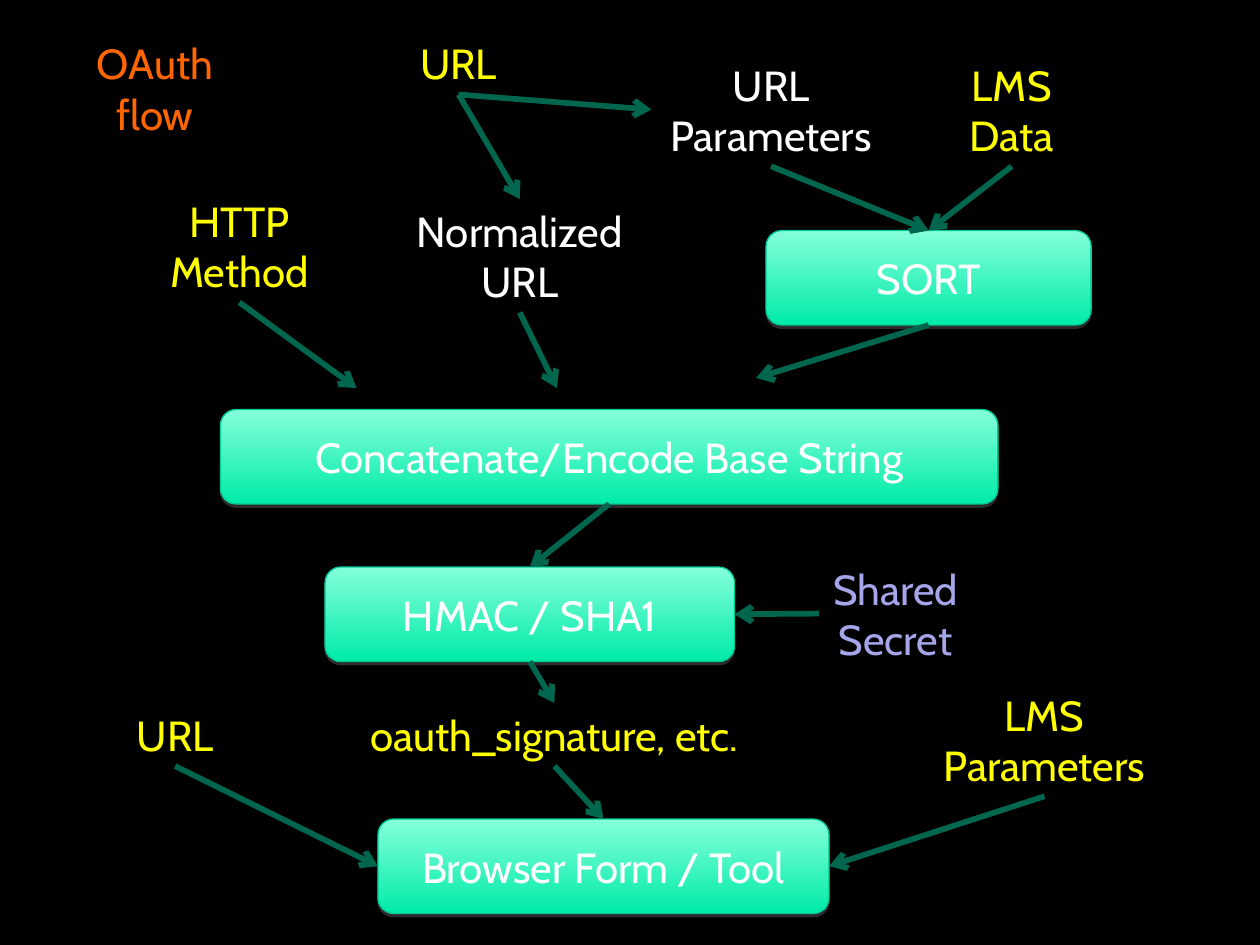
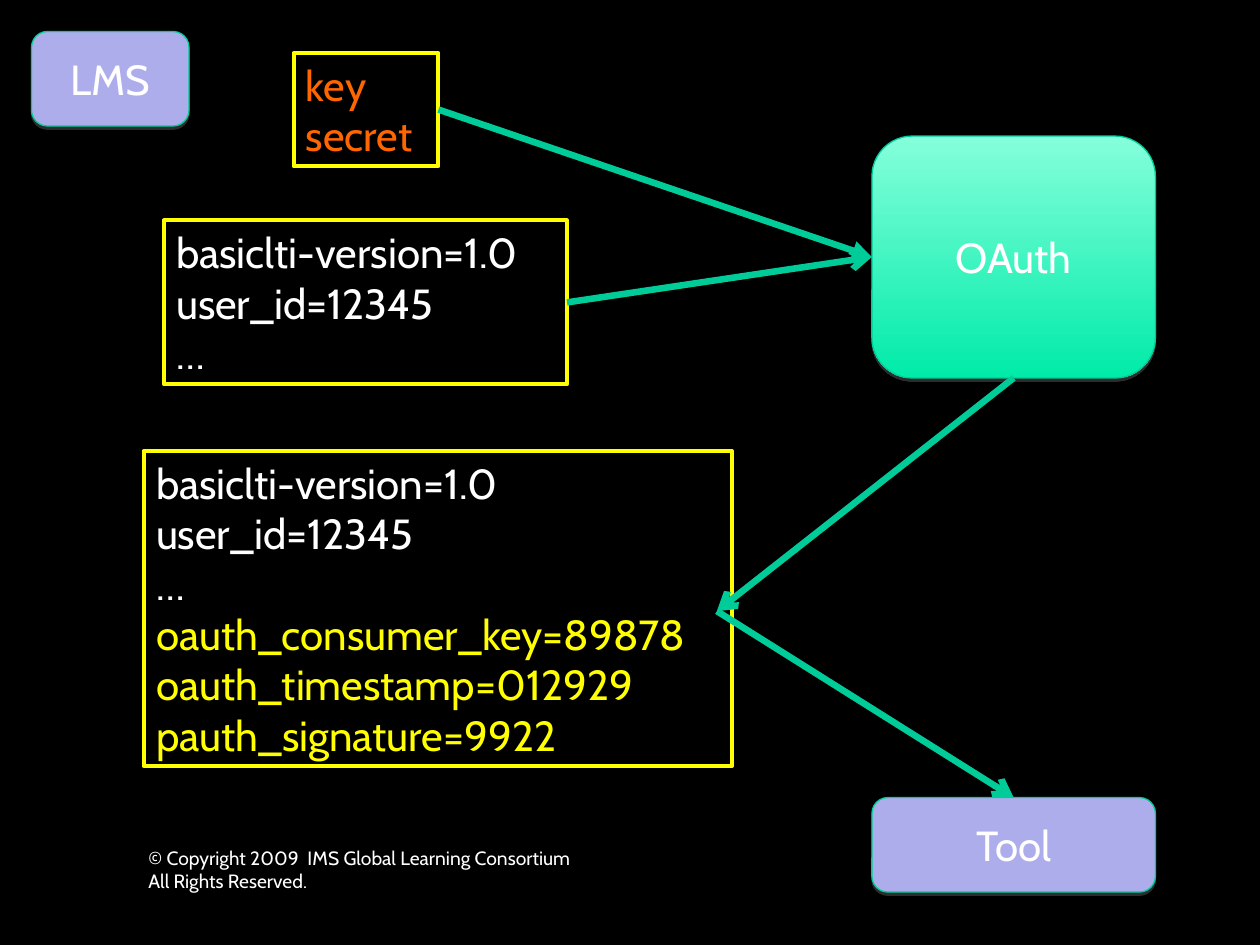
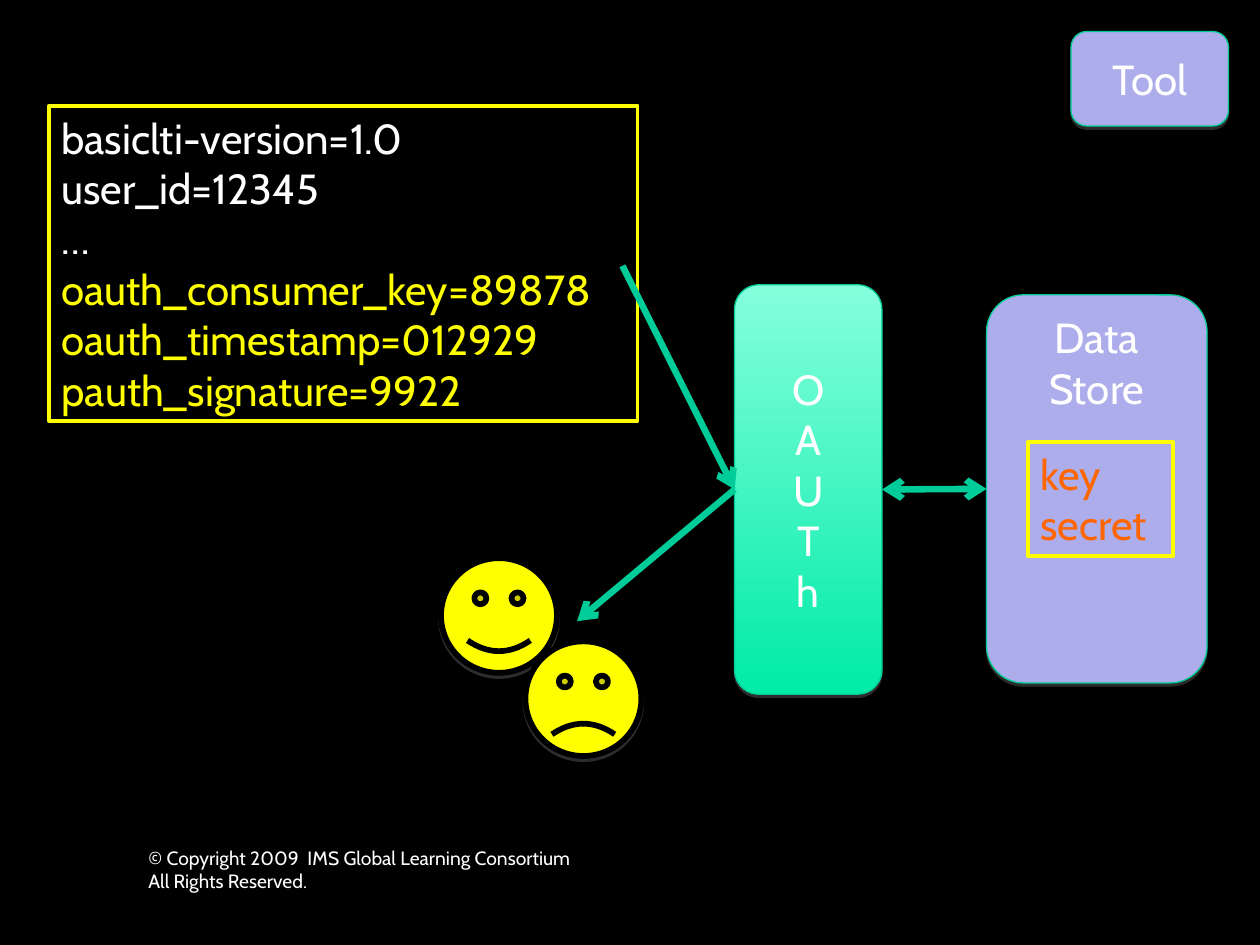
from lxml import etree
from pptx import Presentation
from pptx.dml.color import RGBColor
from pptx.enum.shapes import MSO_CONNECTOR, MSO_SHAPE
from pptx.enum.text import MSO_ANCHOR, MSO_AUTO_SIZE, PP_ALIGN
from pptx.oxml.ns import qn
from pptx.util import Inches, Pt

ROUNDED, FACE = MSO_SHAPE.ROUNDED_RECTANGLE, MSO_SHAPE.SMILEY_FACE
STRAIGHT = MSO_CONNECTOR.STRAIGHT
LEFT_ALIGN, CENTER = PP_ALIGN.LEFT, PP_ALIGN.CENTER
AT_TOP, AT_MIDDLE = MSO_ANCHOR.TOP, MSO_ANCHOR.MIDDLE
TOP, LEFT, BOTTOM, RIGHT = range(4)  # connection sites

BLACK = RGBColor(0x00, 0x00, 0x00)
WHITE = RGBColor(0xFF, 0xFF, 0xFF)
YELLOW = RGBColor(0xFF, 0xFF, 0x00)
ORANGE = RGBColor(0xFF, 0x66, 0x00)
LILAC = RGBColor(0xA5, 0xA5, 0xE9)
VIOLET = RGBColor(0xAD, 0xAD, 0xEB)
MINT = (RGBColor(0x85, 0xFF, 0xDB), RGBColor(0x00, 0xEB, 0xA8))
EDGE = RGBColor(0x00, 0xCC, 0x98)
GREEN = RGBColor(0x00, 0xCC, 0x99)
DARK_GREEN = RGBColor(0x00, 0x66, 0x4D)
FONT = "Cabin"

LAUNCH_DATA = "basiclti-version=1.0\nuser_id=12345\n…"
SIGNATURE = "oauth_consumer_key=89878\noauth_timestamp=012929\npauth_signature=9922"
CREDENTIALS = "key\nsecret"
COPYRIGHT = "© Copyright 2009  IMS Global Learning Consortium\nAll Rights Reserved."


def add_box(slide, place, kind=None, fill=None, outline=EDGE, weight=0.75):
    """Add a filled shape with a soft shadow, or a text box when kind is None."""
    place = [Inches(length) for length in place]
    if kind is None:
        box = slide.shapes.add_textbox(*place)
    else:
        box = slide.shapes.add_shape(kind, *place)
        box.shadow.inherit = False
        effects = box.element.spPr.find(qn("a:effectLst"))
        shadow = etree.SubElement(effects, qn("a:outerShdw"), blurRad="0",
                                  dist="22860", dir="5400000", rotWithShape="0")
        tone = etree.SubElement(shadow, qn("a:srgbClr"), val="808080")
        etree.SubElement(tone, qn("a:alpha"), val="35000")
        if fill is MINT:
            box.fill.gradient()
            box.fill.gradient_angle = 270
            for stop, position, colour in zip(box.fill.gradient_stops, (0, 1), MINT):
                stop.position, stop.color.rgb = position, colour
        else:
            box.fill.solid()
            box.fill.fore_color.rgb = fill
    if outline is not None:
        box.line.color.rgb = outline
        box.line.width = Pt(weight)
    return box


def write(box, text, colour=WHITE, size=24, align=CENTER, anchor=AT_TOP,
          wrap=False, added=""):
    """Fill a box with one paragraph per line; the added lines are yellow."""
    frame = box.text_frame
    frame.auto_size = MSO_AUTO_SIZE.NONE
    frame.word_wrap = wrap
    frame.vertical_anchor = anchor
    lines = [(line, colour) for line in text.split("\n")]
    lines += [(line, YELLOW) for line in added.splitlines()]
    for number, (line, line_colour) in enumerate(lines):
        paragraph = frame.add_paragraph() if number else frame.paragraphs[0]
        paragraph.alignment = align
        run = paragraph.add_run()
        run.text = line
        run.font.name, run.font.size = FONT, Pt(size)
        run.font.color.rgb = line_colour


prs = Presentation()
prs.slide_width, prs.slide_height = Inches(10), Inches(7.5)
background = prs.slide_master.background.fill
background.solid()
background.fore_color.rgb = BLACK
title_only, blank = prs.slide_layouts[5], prs.slide_layouts[6]
flow = prs.slides.add_slide(title_only)
launch = prs.slides.add_slide(blank)
check = prs.slides.add_slide(blank)

# Slide 1: how the signature is made
title = flow.shapes.title
title.left, title.top, title.width, title.height = (
    Inches(length) for length in (0.63, 0.25, 1.2, 0.9))
write(title, "OAuth\nflow", colour=ORANGE)

flow_labels = {
    "method": ("HTTP\nMethod", YELLOW, (1.19, 1.5, 1.42, 0.9)),
    "normalized": ("Normalized\nURL", WHITE, (3.12, 1.58, 2.01, 0.9)),
    "url parameters": ("URL\nParameters", WHITE, (5.11, 0.42, 2.02, 0.9)),
    "lms data": ("LMS\nData", YELLOW, (7.56, 0.42, 0.94, 0.9)),
    "secret": ("Shared\nSecret", LILAC, (6.46, 4.42, 1.3, 0.9)),
    "signature": ("oauth_signature, etc.", YELLOW, (2.65, 5.58, 3.5, 0.5)),
    "lms parameters": ("LMS\nParameters", YELLOW, (7.28, 5.42, 2.02, 0.9)),
    "source url": ("URL", YELLOW, (3.23, 0.25, 0.82, 0.5)),
    "form url": ("URL", YELLOW, (0.98, 5.58, 0.82, 0.5)),
}
flow_steps = {
    "sort": ("SORT", 6.08, 1.83, 2.58),
    "concatenate": ("Concatenate/Encode Base String", 1.75, 3.25, 6.17),
    "hmac": ("HMAC / SHA1", 2.58, 4.5, 3.25),
    "form": ("Browser Form / Tool", 3, 6.5, 3.58),
}
parts = {}
for key, (text, colour, place) in flow_labels.items():
    parts[key] = add_box(flow, place, outline=None)
    write(parts[key], text, colour=colour)
for key, (text, left, top, width) in flow_steps.items():
    parts[key] = add_box(flow, (left, top, width, 0.75), ROUNDED, MINT)
    write(parts[key], text, anchor=AT_MIDDLE, wrap=True)

# Rounded boxes of slides 2 and 3
for key, slide, text, place, fill, anchor in (
    ("signer", launch, "OAuth", (6.92, 1.08, 2.25, 1.92), MINT, AT_MIDDLE),
    ("tool", launch, "Tool", (6.92, 6.33, 2.25, 0.75), VIOLET, AT_MIDDLE),
    ("lms", launch, "LMS", (0.25, 0.25, 1.25, 0.75), VIOLET, AT_MIDDLE),
    ("verifier", check, "O\nA\nU\nT\nh", (5.83, 2.26, 1.17, 3.25), MINT, AT_MIDDLE),
    ("store", check, "Data\nStore", (7.83, 2.34, 1.75, 3.08), VIOLET, AT_TOP),
    ("checking tool", check, "Tool", (8.5, 0.25, 1.25, 0.75), VIOLET, AT_MIDDLE),
):
    parts[key] = add_box(slide, place, ROUNDED, fill)
    write(parts[key], text, anchor=anchor, wrap=True)

# Yellow frames with the data that is sent
for key, slide, place, text, colour, added in (
    ("launch data", launch, (1.3, 1.75, 3.2, 1.3), LAUNCH_DATA, WHITE, ""),
    ("signed data", launch, (1.14, 3.58, 4.67, 2.5), LAUNCH_DATA, WHITE, SIGNATURE),
    ("credentials", launch, (2.33, 0.42, 1.15, 0.9), CREDENTIALS, ORANGE, ""),
    ("received data", check, (0.39, 0.84, 4.67, 2.5), LAUNCH_DATA, WHITE, SIGNATURE),
    ("stored credentials", check, (8.16, 3.51, 1.15, 0.9), CREDENTIALS, ORANGE, ""),
):
    parts[key] = add_box(slide, place, outline=YELLOW, weight=2.25)
    write(parts[key], text, colour=colour, align=LEFT_ALIGN, wrap=True, added=added)

# Accepted or rejected
happy = add_box(check, (3.5, 4.43, 0.92, 0.91), FACE, YELLOW, BLACK, 3.25)
sad = add_box(check, (4.17, 5.09, 0.92, 0.91), FACE, YELLOW, BLACK, 3.25)
sad.adjustments[0] = -0.05

for slide in (launch, check):
    footer = add_box(slide, (1.08, 6.67, 3.75, 0.65), outline=None)
    write(footer, COPYRIGHT, size=11, align=LEFT_ALIGN, wrap=True)

# Arrows: each end is a part with its connection site, or a point
flow_arrows = [
    (("url parameters", BOTTOM), ("sort", TOP)),
    (("lms data", BOTTOM), ("sort", TOP)),
    (("method", BOTTOM), (2.83, 3.08)),
    (("normalized", BOTTOM), (4.42, 3.08)),
    (("sort", BOTTOM), (6, 3)),
    (("concatenate", BOTTOM), ("hmac", TOP)),
    ((6.5, 4.87), ("hmac", RIGHT)),
    (("source url", BOTTOM), ("normalized", TOP)),
    (("source url", BOTTOM), (5.17, 0.87)),
    (("hmac", BOTTOM), ("signature", TOP)),
    (("signature", BOTTOM), ("form", TOP)),
    (("form url", BOTTOM), ("form", LEFT)),
    (("lms parameters", BOTTOM), ("form", RIGHT)),
]
launch_arrows = [
    (("credentials", RIGHT), ("signer", LEFT)),
    (("launch data", RIGHT), ("signer", LEFT)),
    (("signer", BOTTOM), (5.69, 4.85)),
    ((5.69, 4.85), ("tool", TOP)),
]
check_arrows = [
    ((4.94, 2.11), ("verifier", LEFT)),
    (("verifier", RIGHT), ("store", LEFT)),
    (("verifier", LEFT), (4.58, 4.93)),
]
for slide, colour, weight, arrows in (
    (flow, DARK_GREEN, 3.25, flow_arrows),
    (launch, GREEN, 3.75, launch_arrows),
    (check, GREEN, 3.75, check_arrows),
):
    for start, end in arrows:
        points = [(0, 0) if isinstance(tip[0], str) else tip for tip in (start, end)]
        arrow = slide.shapes.add_connector(
            STRAIGHT, *(Inches(length) for point in points for length in point))
        for tip, connect in ((start, arrow.begin_connect), (end, arrow.end_connect)):
            if isinstance(tip[0], str):
                connect(parts[tip[0]], tip[1])
        arrow.line.color.rgb = colour
        arrow.line.width = Pt(weight)
        outline = arrow.element.spPr.find(qn("a:ln"))
        if start[0] == "verifier" and end[0] == "store":
            etree.SubElement(outline, qn("a:headEnd"), type="arrow")
        head = "triangle" if start[0] == "credentials" else "arrow"
        etree.SubElement(outline, qn("a:tailEnd"), type=head)
        etree.SubElement(arrow.element.spPr, qn("a:effectLst"))

prs.save("out.pptx")
